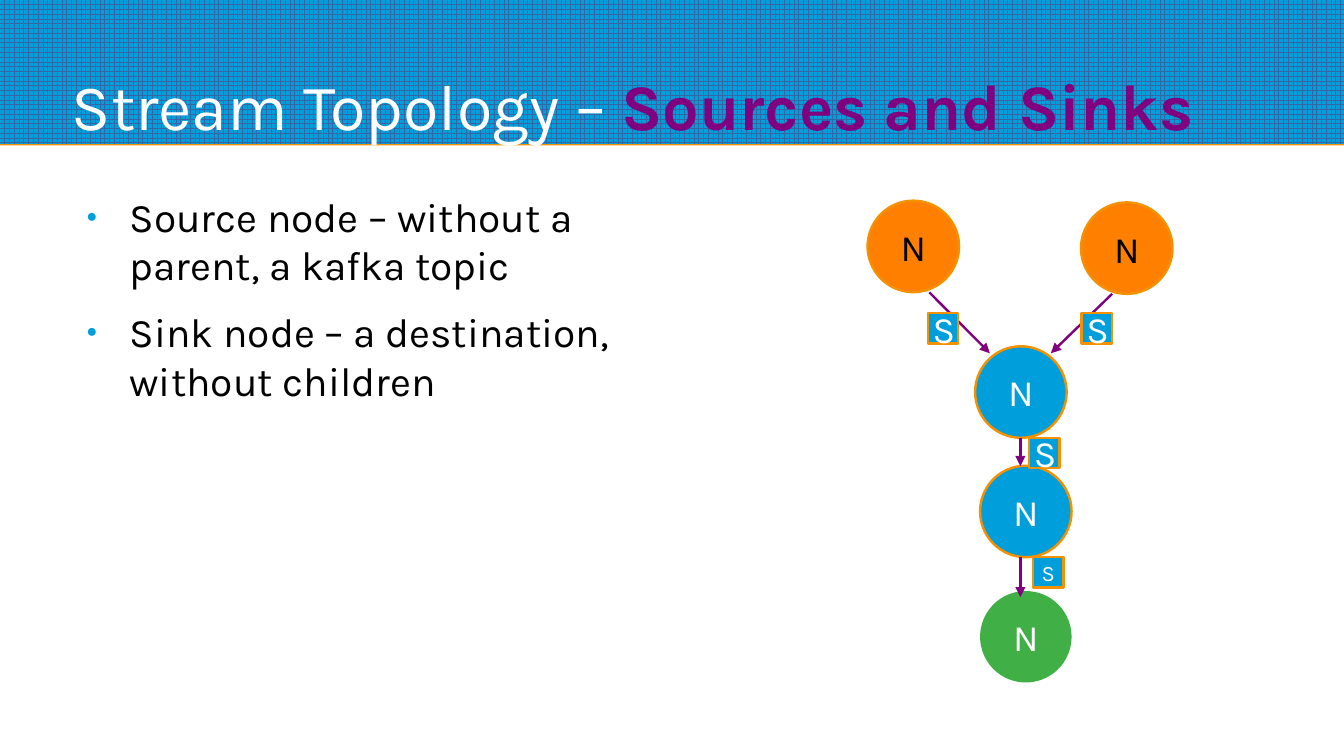
"""Build a slide showing source and sink nodes of a stream topology."""
from dataclasses import dataclass

from lxml import etree
from pptx import Presentation
from pptx.dml.color import RGBColor
from pptx.enum.dml import MSO_PATTERN
from pptx.enum.shapes import MSO_CONNECTOR, MSO_SHAPE
from pptx.enum.text import MSO_ANCHOR, MSO_AUTO_SIZE, PP_ALIGN
from pptx.oxml.ns import qn
from pptx.util import Pt

LARGE_GRID = MSO_PATTERN.LARGE_GRID
STRAIGHT = MSO_CONNECTOR.STRAIGHT
OVAL, RECTANGLE = MSO_SHAPE.OVAL, MSO_SHAPE.RECTANGLE
TOP, MIDDLE, BOTTOM = MSO_ANCHOR.TOP, MSO_ANCHOR.MIDDLE, MSO_ANCHOR.BOTTOM
NO_AUTOFIT = MSO_AUTO_SIZE.NONE
LEFT, CENTER = PP_ALIGN.LEFT, PP_ALIGN.CENTER

SLIDE_WIDTH, SLIDE_HEIGHT = 793.44, 446.4
BAND_HEIGHT = 84.96
NODE_SIZE, STREAM_SIZE = 54, 18


@dataclass(frozen=True)
class Theme:
    """Colours, font and type sizes of the slide."""
    font: str = "Karla"
    blue: str = "009EDA"
    grid: str = "3465A4"
    amber: str = "F49100"
    orange: str = "FF8000"
    green: str = "3FAF46"
    purple: str = "800080"
    black: str = "000000"
    white: str = "FFFFFF"
    title_size: float = 38.2
    body_size: float = 24
    label_size: float = 22
    small_size: float = 13
    line_width: float = 1.42


class TopologySlide:
    """Draws styled elements on one slide."""

    def __init__(self, presentation, theme):
        """Add the slide and remember its style."""
        self.theme = theme
        self.slide = presentation.slides.add_slide(presentation.slide_layouts[1])
        self.shapes = self.slide.shapes

    def style(self, font, size, color):
        """Apply the theme font with a size and colour."""
        font.name = self.theme.font
        font.size = Pt(size)
        font.color.rgb = RGBColor.from_string(color)

    def prepare(self, shape, anchor, inset):
        """Set up a text frame and return it."""
        frame = shape.text_frame
        frame.word_wrap = True
        frame.auto_size = NO_AUTOFIT
        frame.vertical_anchor = anchor
        frame.margin_left = frame.margin_right = Pt(inset)
        frame.margin_top = frame.margin_bottom = Pt(inset)
        return frame

    def place(self, shape, left, top, width, height):
        """Move and resize a shape."""
        shape.left, shape.top = Pt(left), Pt(top)
        shape.width, shape.height = Pt(width), Pt(height)

    def band(self):
        """Draw the grid header band with its amber lower edge."""
        band = self.shapes.add_shape(RECTANGLE, 0, 0, Pt(SLIDE_WIDTH), Pt(BAND_HEIGHT))
        band.fill.patterned()
        band.fill.pattern = LARGE_GRID
        band.fill.fore_color.rgb = RGBColor.from_string(self.theme.grid)
        band.fill.back_color.rgb = RGBColor.from_string(self.theme.blue)
        band.line.fill.background()
        band.shadow.inherit = False
        effects = band.element.spPr.find(qn("a:effectLst"))
        shadow = etree.SubElement(effects, qn("a:outerShdw"), blurRad="0",
                                  dist=str(Pt(0.9)), dir="5400000", rotWithShape="0")
        etree.SubElement(shadow, qn("a:srgbClr"), val=self.theme.amber)
        self.shapes.element.insert(2, band.element)

    def title(self, plain, emphasis):
        """Fill the title with a plain and an emphasised part."""
        title = self.shapes.title
        self.place(title, 42.48, 7.2, 708.48, 77.76)
        paragraph = self.prepare(title, BOTTOM, 0).paragraphs[0]
        paragraph.alignment = LEFT
        self.style(paragraph.font, self.theme.title_size, self.theme.white)
        paragraph.add_run().text = plain
        run = paragraph.add_run()
        run.text = emphasis
        run.font.bold = True
        run.font.color.rgb = RGBColor.from_string(self.theme.purple)

    def bullets(self, items):
        """Fill the body with a bulleted list."""
        body = self.slide.placeholders[1]
        self.place(body, 42.48, 113.04, 345.6, 276.48)
        frame = self.prepare(body, TOP, 0)
        for index, item in enumerate(items):
            paragraph = frame.add_paragraph() if index else frame.paragraphs[0]
            paragraph.text = item
            paragraph.alignment = LEFT
            paragraph.space_before = Pt(0)
            paragraph.space_after = Pt(10.5)
            properties = paragraph._p.get_or_add_pPr()
            properties.set("marL", str(Pt(34)))
            properties.set("indent", str(Pt(-25.5)))
            color = etree.SubElement(properties, qn("a:buClr"))
            etree.SubElement(color, qn("a:srgbClr"), val=self.theme.blue)
            etree.SubElement(properties, qn("a:buSzPct"), val="45000")
            etree.SubElement(properties, qn("a:buChar"), char="●")
            self.style(paragraph.font, self.theme.body_size, self.theme.black)

    def label(self, kind, text, left, top, size, fill, line, color, type_size):
        """Draw a filled square or circle with a centred letter."""
        shape = self.shapes.add_shape(kind, Pt(left), Pt(top), Pt(size), Pt(size))
        shape.shadow.inherit = False
        shape.fill.solid()
        shape.fill.fore_color.rgb = RGBColor.from_string(fill)
        if line:
            shape.line.color.rgb = RGBColor.from_string(line)
            shape.line.width = Pt(self.theme.line_width)
        else:
            shape.line.fill.background()
        paragraph = self.prepare(shape, MIDDLE, 2.88).paragraphs[0]
        paragraph.text = text
        paragraph.alignment = CENTER
        self.style(paragraph.font, type_size, color)

    def node(self, left, top, fill, line, color):
        """Draw a topology node."""
        self.label(OVAL, "N", left, top, NODE_SIZE, fill, line, color,
                   self.theme.label_size)

    def stream(self, text, left, top, type_size):
        """Draw a stream marker."""
        self.label(RECTANGLE, text, left, top, STREAM_SIZE, self.theme.blue,
                   self.theme.amber, self.theme.white, type_size)

    def arrow(self, start, end):
        """Draw an arrow between two points."""
        arrow = self.shapes.add_connector(STRAIGHT, *map(Pt, start + end))
        arrow.line.color.rgb = RGBColor.from_string(self.theme.purple)
        arrow.line.width = Pt(self.theme.line_width)
        etree.SubElement(arrow.line._get_or_add_ln(), qn("a:tailEnd"), type="triangle")
        etree.SubElement(arrow.element.spPr, qn("a:effectLst"))


def main():
    """Build and save the presentation."""
    presentation = Presentation()
    presentation.slide_width, presentation.slide_height = Pt(SLIDE_WIDTH), Pt(SLIDE_HEIGHT)
    theme = Theme()
    topology = TopologySlide(presentation, theme)
    topology.band()
    topology.title("Stream Topology – ", "Sources and Sinks")
    topology.bullets(["Source node – without a parent, a kafka topic",
                      "Sink node – a destination, without children"])

    source = (theme.orange, theme.amber, theme.black)
    processor = (theme.blue, theme.amber, theme.white)
    sink = (theme.green, None, theme.white)
    for left, top, role in [(512.2, 118.5, source), (638.2, 119.5, source),
                            (575.7, 204.5, processor), (578.6, 275, processor),
                            (578.6, 349, sink)]:
        topology.node(left, top, *role)

    for start, end in [((548.6, 172.6), (584.4, 208.6)),
                       ((656.6, 173.5), (620.4, 208.6)),
                       ((602.4, 258.5), (602.4, 275.2)),
                       ((602.4, 329), (602.4, 352.6))]:
        topology.arrow(start, end)

    for text, left, top, type_size in [("S", 638.4, 184.9, theme.label_size),
                                       ("S", 547.7, 184.9, theme.label_size),
                                       ("S", 607.4, 258.5, theme.label_size),
                                       ("S", 609.8, 329, theme.small_size)]:
        topology.stream(text, left, top, type_size)

    presentation.save("out.pptx")


if __name__ == "__main__":
    main()
